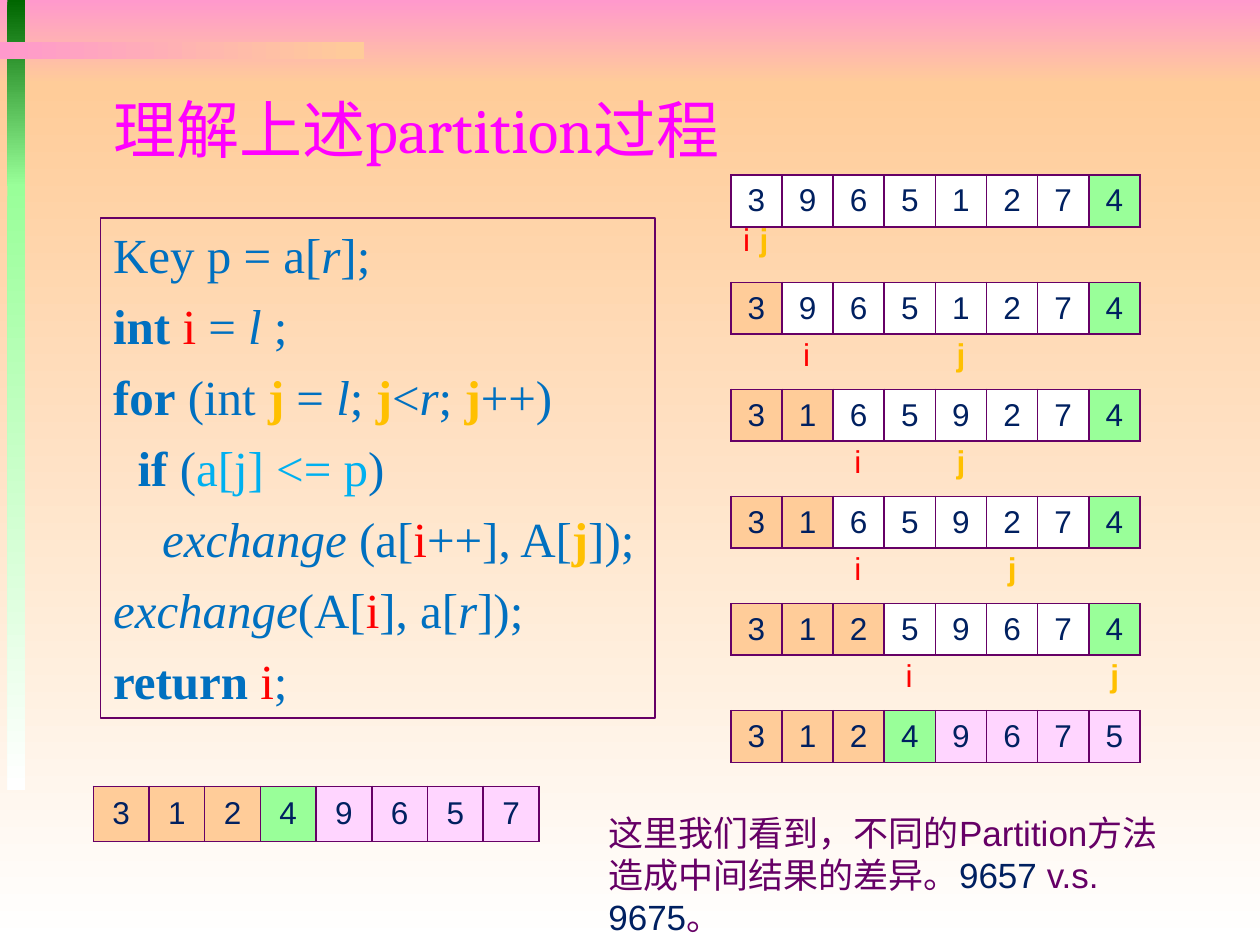
from lxml import etree
from pptx import Presentation
from pptx.dml.color import RGBColor
from pptx.enum.shapes import MSO_SHAPE
from pptx.enum.text import MSO_ANCHOR, PP_ALIGN
from pptx.oxml.ns import qn
from pptx.util import Inches, Pt

RECTANGLE = MSO_SHAPE.RECTANGLE
MIDDLE, TOP = MSO_ANCHOR.MIDDLE, MSO_ANCHOR.TOP
LEFT, CENTER = PP_ALIGN.LEFT, PP_ALIGN.CENTER

PURPLE, NAVY, BLUE = "660066", "002060", "0070C0"
PINK, PEACH, WHITE = "FF99CC", "FFCC99", "FFFFFF"
DARK_GREEN, GREEN = "006600", "99FF99"
CELL_FILLS = {"s": PEACH, "p": GREEN, "g": "FFD5FF", "-": WHITE}

BOLD = {"bold": True}
ITALIC = {"italic": True}
I_MARK = {"color": "FF0000"}
J_MARK = {"color": "FFC000", "bold": True}
CONDITION = {"color": "00B0F0"}

BANDS = [
    (0, 0, 10, 0.67, PINK, PEACH, 270),
    (0, 0.67, 10, 6.83, PEACH, WHITE, 270),
    (0.06, 0, 0.14, 1.48, DARK_GREEN, GREEN, 270),
    (0.06, 1.46, 0.14, 4.81, GREEN, WHITE, 270),
    (0, 0.33, 2.89, 0.14, PINK, PEACH, 0),
]

CODE = [
    ["Key p = a[", ("r", ITALIC), "];"],
    [("int ", BOLD), ("i", I_MARK), " = ", ("l", ITALIC), " ;"],
    [("for", BOLD), " (int ", ("j", J_MARK), " = ", ("l", ITALIC), "; ",
     ("j", J_MARK), "<", ("r", ITALIC), "; ", ("j", J_MARK), "++)"],
    [("if", BOLD), " (", ("a[j] <= p", CONDITION), ")"],
    [("exchange ", ITALIC), "(a[", ("i", I_MARK), "++], A[", ("j", J_MARK), "]);"],
    [("exchange", ITALIC), "(A[", ("i", I_MARK), "], a[", ("r", ITALIC), "]);"],
    [("return ", BOLD), ("i", I_MARK), ";"],
]
CODE_INDENTS = [0, 0, 0, 14, 28, 0, 0]

STEPS = [
    ("39651274", "-------p", 0, 0),
    ("39651274", "s------p", 1, 4),
    ("31659274", "ss-----p", 2, 4),
    ("31659274", "ss-----p", 2, 5),
    ("31259674", "sss----p", 3, 7),
    ("31249675", "ssspgggg", None, None),
]
STEP_LEFT, STEP_TOP, STEP_PITCH = 5.8, 1.39, 0.85
STEP_WIDTH, STEP_HEIGHT = 3.25, 0.41

NOTE = [
    ["这里我们看到，不同的Partition方法"],
    ["造成中间结果的差异。", ("9657 ", {"color": NAVY}), "v.s. ",
     ("9675", {"color": NAVY}), "。"],
]


def rgb(color):
    return RGBColor.from_string(color)


def write_text(frame, paragraphs, *, size=18, font="Arial", color=NAVY, align=LEFT,
               before=0, anchor=TOP, wrap=True, indents=None):
    frame.word_wrap = wrap
    frame.vertical_anchor = anchor
    for index, pieces in enumerate(paragraphs):
        paragraph = frame.paragraphs[0] if index == 0 else frame.add_paragraph()
        paragraph.alignment = align
        paragraph.space_before = Pt(before)
        if indents and indents[index]:
            paragraph._p.get_or_add_pPr().set("marL", str(Pt(indents[index])))
        for piece in pieces:
            text, style = (piece, {}) if isinstance(piece, str) else piece
            run = paragraph.add_run()
            run.text = text
            run.font.name = font
            run.font.size = Pt(size)
            run.font.bold = style.get("bold", False)
            run.font.italic = style.get("italic", False)
            run.font.color.rgb = rgb(style.get("color", color))


def set_borders(cell, color, width):
    properties = cell._tc.get_or_add_tcPr()
    for index, side in enumerate(("a:lnL", "a:lnR", "a:lnT", "a:lnB")):
        line = etree.Element(qn(side), w=str(Pt(width)))
        fill = etree.SubElement(line, qn("a:solidFill"))
        etree.SubElement(fill, qn("a:srgbClr"), val=color)
        properties.insert(index, line)


class SlideBuilder:
    def __init__(self, slide):
        self.slide = slide
        self.border = PURPLE

    def band(self, left, top, width, height, start, end, angle):
        shape = self.slide.shapes.add_shape(
            RECTANGLE, Inches(left), Inches(top), Inches(width), Inches(height))
        shape.shadow.inherit = False
        shape.line.fill.background()
        shape.fill.gradient()
        shape.fill.gradient_angle = angle
        for stop, color in zip(shape.fill.gradient_stops, (start, end)):
            stop.color.rgb = rgb(color)

    def title(self, text, left, top, width, height):
        shape = self.slide.shapes.title
        self.slide.shapes._spTree.append(shape._element)
        shape.left, shape.top = Inches(left), Inches(top)
        shape.width, shape.height = Inches(width), Inches(height)
        write_text(shape.text_frame, [[text]], size=36, font="Cambria",
                   color="FF00FF", anchor=MIDDLE)

    def text(self, paragraphs, left, top, width, height, outlined=False, **text_format):
        shape = self.slide.shapes.add_textbox(
            Inches(left), Inches(top), Inches(width), Inches(height))
        if outlined:
            shape.line.color.rgb = rgb(self.border)
            shape.line.width = Pt(0.75)
        write_text(shape.text_frame, paragraphs, **text_format)

    def array(self, digits, states, left, top, width, height):
        count = len(digits)
        table = self.slide.shapes.add_table(
            1, count, Inches(left), Inches(top), Inches(width), Inches(height)).table
        table.first_row = table.horz_banding = False
        for column, (digit, state) in enumerate(zip(digits, states)):
            table.columns[column].width = Inches(width / count)
            cell = table.cell(0, column)
            cell.margin_left = cell.margin_right = Inches(0.07)
            cell.margin_top = cell.margin_bottom = Inches(0.04)
            cell.vertical_anchor = MIDDLE
            cell.fill.solid()
            cell.fill.fore_color.rgb = rgb(CELL_FILLS[state])
            set_borders(cell, self.border, 1)
            write_text(cell.text_frame, [[digit]], align=CENTER, anchor=MIDDLE)

    def step(self, digits, states, i_column, j_column, top):
        self.array(digits, states, STEP_LEFT, top, STEP_WIDTH, STEP_HEIGHT)
        if i_column is None:
            return
        pitch = STEP_WIDTH / len(digits)
        shared = i_column == j_column
        i_shift, j_shift, drop = (0, 0.13, 0.31) if shared else (0.07, 0.07, 0.37)
        for name, style, column, shift in (("i", I_MARK, i_column, i_shift),
                                           ("j", J_MARK, j_column, j_shift)):
            self.text([[(name, style)]], STEP_LEFT + column * pitch + shift,
                      top + drop, 0.26, 0.4, wrap=False)


def main():
    presentation = Presentation()
    presentation.slide_width, presentation.slide_height = Inches(10), Inches(7.5)
    builder = SlideBuilder(presentation.slides.add_slide(presentation.slide_layouts[5]))
    for band in BANDS:
        builder.band(*band)
    builder.title("理解上述partition过程", 0.8, 0.57, 8.5, 0.9)
    builder.text(CODE, 0.8, 1.73, 4.4, 3.97, outlined=True, size=28,
                 font="Times New Roman", color=BLUE, before=7, indents=CODE_INDENTS)
    builder.array("31249657", "ssspgggg", 0.74, 6.24, 3.54, 0.44)
    for index, step in enumerate(STEPS):
        builder.step(*step, STEP_TOP + index * STEP_PITCH)
    builder.text(NOTE, 4.73, 6.39, 5, 0.77, size=20, color=PURPLE)
    presentation.save("out.pptx")


if __name__ == "__main__":
    main()
